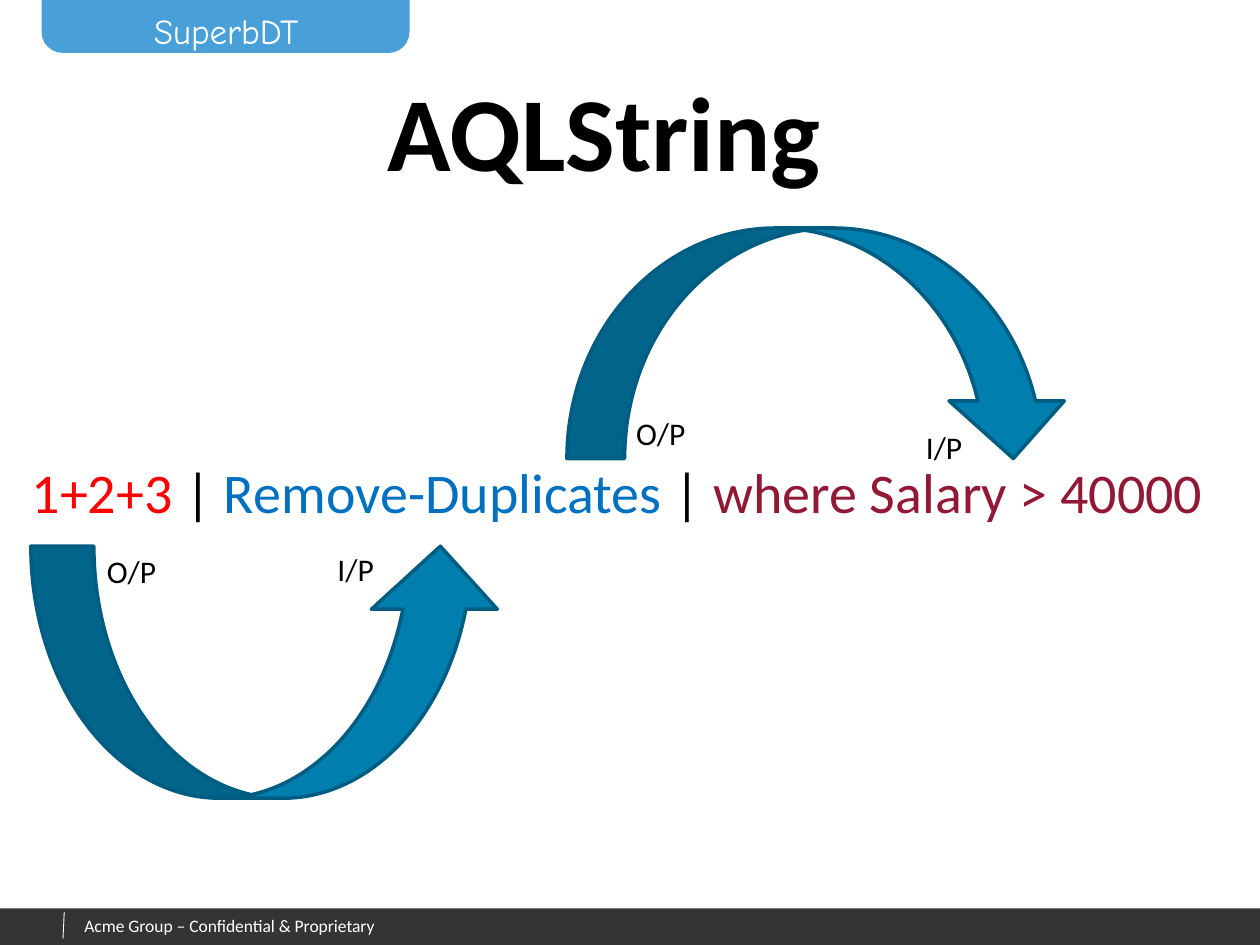
"""Build the AQLString slide: a piped query with output-to-input arrows."""
from dataclasses import dataclass

from lxml.etree import SubElement
from pptx import Presentation
from pptx.dml.color import RGBColor
from pptx.enum.shapes import MSO_CONNECTOR, MSO_SHAPE
from pptx.enum.text import MSO_ANCHOR, PP_ALIGN
from pptx.oxml.ns import qn
from pptx.util import Inches, Pt


@dataclass(frozen=True)
class Theme:
    """Colours, fonts and type sizes of the slide."""
    black: str = "000000"
    white: str = "FFFFFF"
    tab: str = "49A0D8"
    footer: str = "343434"
    arrow: str = "007EAE"
    arrow_edge: str = "005D81"
    source: str = "FF0000"
    command: str = "0070C0"
    condition: str = "921936"
    body_font: str = "Calibri"
    tab_font: str = "Comic Neue"
    title_size: int = 60
    query_size: int = 32
    tab_size: int = 20
    label_size: int = 18
    footer_size: int = 10


class SlideBuilder:
    """Holds the theme and the current slide, and adds elements to it."""

    def __init__(self, slide, theme):
        """Keep the slide and the theme."""
        self.slide = slide
        self.theme = theme

    def style(self, paragraph, size, color=None, font=None, align=PP_ALIGN.LEFT, bold=False):
        """Format a whole paragraph."""
        paragraph.alignment = align
        paragraph.font.name = font or self.theme.body_font
        paragraph.font.size = Pt(size)
        paragraph.font.bold = bold
        if color:
            paragraph.font.color.rgb = RGBColor.from_string(color)

    def title(self, text, box):
        """Place and format the title placeholder."""
        title = self.slide.shapes.title
        title.left, title.top, title.width, title.height = map(Inches, box)
        title.text_frame.text = text
        title.text_frame.vertical_anchor = MSO_ANCHOR.MIDDLE
        self.style(title.text_frame.paragraphs[0], self.theme.title_size,
                   self.theme.black, align=PP_ALIGN.CENTER, bold=True)

    def text(self, parts, box, size, wrap=True, inset=True, anchor=MSO_ANCHOR.TOP, **style):
        """Add one paragraph from (text, colour) parts."""
        frame = self.slide.shapes.add_textbox(*map(Inches, box)).text_frame
        frame.word_wrap = wrap
        frame.vertical_anchor = anchor
        if not inset:
            frame.margin_left = frame.margin_right = 0
            frame.margin_top = frame.margin_bottom = 0
        paragraph = frame.paragraphs[0]
        shared = parts[0][1] if len(parts) == 1 else None
        self.style(paragraph, size, shared, **style)
        for words, color in parts:
            run = paragraph.add_run()
            run.text = words
            if not shared:
                run.font.color.rgb = RGBColor.from_string(color)

    def shape(self, kind, box, fill, edge=None, rotation=0, adjustments=()):
        """Add a filled preset shape."""
        shape = self.slide.shapes.add_shape(kind, *map(Inches, box))
        shape.shadow.inherit = False
        shape.rotation = rotation
        shape.fill.solid()
        shape.fill.fore_color.rgb = RGBColor.from_string(fill)
        for index, value in enumerate(adjustments):
            shape.adjustments[index] = value
        if edge:
            shape.line.color.rgb = RGBColor.from_string(edge)
            shape.line.width = Pt(2)
        else:
            shape.line.fill.background()

    def line(self, ends, color, width):
        """Add a straight line without a shadow."""
        line = self.slide.shapes.add_connector(MSO_CONNECTOR.STRAIGHT, *map(Inches, ends))
        line.line.color.rgb = RGBColor.from_string(color)
        line.line.width = Pt(width)
        SubElement(line._element.spPr, qn("a:effectLst"))


def main():
    """Draw the slide and save it."""
    deck = Presentation()
    deck.slide_width, deck.slide_height = Inches(10), Inches(7.5)
    theme = Theme()
    page = SlideBuilder(deck.slides.add_slide(deck.slide_layouts[5]), theme)

    page.shape(MSO_SHAPE.ROUND_2_SAME_RECTANGLE, (0.33, 0, 2.92, 0.42), theme.tab,
               rotation=180, adjustments=(0.396, 0))
    page.text([("SuperbDT", theme.white)], (0.17, 0, 3.25, 0.49), theme.tab_size,
              anchor=MSO_ANCHOR.MIDDLE, font=theme.tab_font, align=PP_ALIGN.CENTER)

    page.shape(MSO_SHAPE.RECTANGLE, (0, 7.21, 10, 0.29), theme.footer)
    page.text([("Acme Group – Confidential & Proprietary", theme.white)],
              (0.67, 7.26, 4, 0.17), theme.footer_size, inset=False)
    page.line((0.51, 7.24, 0.5, 7.45), theme.white, 0.5)

    page.title("AQLString", (0.42, 0.5, 8.75, 1.06))
    query = [("1+2+3 ", theme.source), ("|", theme.black),
             (" Remove-Duplicates ", theme.command), ("| ", theme.black),
             ("where Salary > 40000", theme.condition)]
    page.text(query, (0, 3.58, 9.8, 0.65), theme.query_size, align=PP_ALIGN.CENTER)

    flows = [(MSO_SHAPE.CURVED_RIGHT_ARROW, (1.12, 3.46, 2, 3.75), 270),
             (MSO_SHAPE.CURVED_DOWN_ARROW, (4.5, 1.81, 4, 1.83), 0)]
    for kind, box, rotation in flows:
        page.shape(kind, box, theme.arrow, theme.arrow_edge, rotation)

    ports = [("O/P", 0.75, 4.33, 0.6), ("I/P", 2.58, 4.32, 0.49),
             ("I/P", 7.25, 3.35, 0.49), ("O/P", 4.95, 3.24, 0.6)]
    for port, left, top, width in ports:
        page.text([(port, theme.black)], (left, top, width, 0.4), theme.label_size, wrap=False)

    deck.save("out.pptx")


main()
